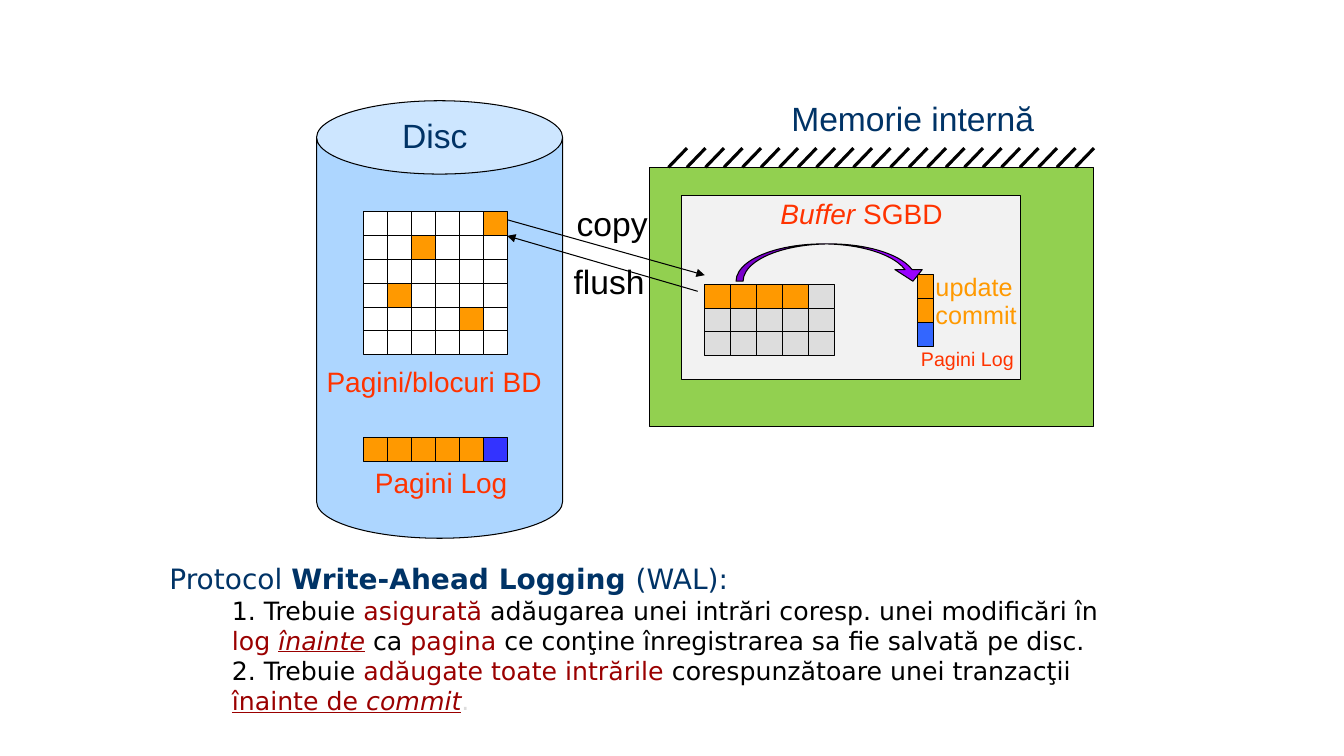
from collections import namedtuple

from lxml.etree import SubElement
from pptx import Presentation
from pptx.dml.color import RGBColor
from pptx.enum.shapes import MSO_CONNECTOR as Connector, MSO_SHAPE as Shape
from pptx.enum.text import MSO_ANCHOR as Anchor, MSO_AUTO_SIZE as AutoSize, PP_ALIGN as Align
from pptx.oxml.ns import qn
from pptx.util import Inches, Pt

BLACK = RGBColor(0x00, 0x00, 0x00)
WHITE = RGBColor(0xFF, 0xFF, 0xFF)
NAVY = RGBColor(0x00, 0x33, 0x66)
RED = RGBColor(0xFF, 0x33, 0x00)
DARK_RED = RGBColor(0x9A, 0x00, 0x00)
ORANGE = RGBColor(0xFF, 0x99, 0x00)
PALE_BLUE = RGBColor(0xAD, 0xD6, 0xFF)
LOG_BLUE = RGBColor(0x33, 0x33, 0xFF)
BUFFER_BLUE = RGBColor(0x33, 0x66, 0xFF)
GREEN = RGBColor(0x92, 0xD0, 0x50)
PALE_GREY = RGBColor(0xF2, 0xF2, 0xF2)
GREY = RGBColor(0xDD, 0xDD, 0xDD)
PURPLE = RGBColor(0x99, 0x00, 0xFF)

# One letter per page in the page grids
PAGE_FILLS = {"w": WHITE, "o": ORANGE, "g": GREY, "l": LOG_BLUE, "b": BUFFER_BLUE}

Box = namedtuple("Box", "x y w h")


def inside(box, dx, dy, w, h):
    """Box of the given size, offset from the corner of another one."""
    return Box(box.x + dx, box.y + dy, w, h)


def add_outlined(slide, kind, box, fill):
    shape = slide.shapes.add_shape(kind, *map(Inches, box))
    shape.shadow.inherit = False
    shape.fill.solid()
    shape.fill.fore_color.rgb = fill
    shape.line.color.rgb = BLACK
    shape.line.width = Pt(0.75)
    return shape


def add_line(slide, start, end, width=0.75, arrow=False):
    line = slide.shapes.add_connector(Connector.STRAIGHT, *map(Inches, start + end))
    line.line.color.rgb = BLACK
    line.line.width = Pt(width)
    properties = line.line._get_or_add_ln()
    if arrow:
        SubElement(properties, qn("a:tailEnd"), type="triangle")
    SubElement(line._element.spPr, qn("a:effectLst"))


def add_run(paragraph, text, size, color, font="Arial", bold=False, italic=False, underline=False):
    run = paragraph.add_run()
    run.text = text
    run.font.name = font
    run.font.size = Pt(size)
    run.font.color.rgb = color
    run.font.bold = bold
    run.font.italic = italic
    run.font.underline = underline


def add_label(slide, box, *lines, size=24, color=BLACK, wrap=False, align=Align.LEFT,
              spacing=1.0, italic_start=""):
    frame = slide.shapes.add_textbox(*map(Inches, box)).text_frame
    frame.word_wrap = wrap
    frame.auto_size = AutoSize.SHAPE_TO_FIT_TEXT
    for number, line in enumerate(lines):
        paragraph = frame.add_paragraph() if number else frame.paragraphs[0]
        paragraph.alignment = align
        paragraph.line_spacing = spacing
        if italic_start:
            add_run(paragraph, italic_start, size, color, italic=True)
        add_run(paragraph, line, size, color)


def add_pages(slide, box, *rows):
    """Fill the box with pages, coloured by the letters of each row."""
    width, height = box.w / len(rows[0]), box.h / len(rows)
    for r, row in enumerate(rows):
        for c, letter in enumerate(row):
            page = inside(box, c * width, r * height, width, height)
            add_outlined(slide, Shape.RECTANGLE, page, PAGE_FILLS[letter])


def add_disk(slide, box):
    cylinder = add_outlined(slide, Shape.CAN, box, PALE_BLUE)
    cylinder.adjustments[0] = 0.298
    add_label(slide, inside(box, 0.75, 0.09, 0.86, 0.5), "Disc", color=NAVY)
    add_pages(slide, inside(box, 0.47, 1.1, 1.42, 1.42),
              "wwwwwo", "wwowww", "wwwwww", "wowwww", "wwwwow", "wwwwww")
    add_label(slide, inside(box, 0, 2.57, 2.39, 0.43), "Pagini/blocuri BD", size=20, color=RED)
    add_pages(slide, inside(box, 0.47, 3.34, 1.42, 0.24), "oooool")
    add_label(slide, inside(box, 0.48, 3.57, 1.53, 0.44), "Pagini Log", size=20, color=RED)


def add_memory(slide, box):
    add_outlined(slide, Shape.RECTANGLE, box, GREEN)
    add_label(slide, inside(box, 1.31, -0.74, 2.64, 0.5), "Memorie internă", color=NAVY)

    # Hatching along the top edge
    strokes, first = 23, box.x + 0.19
    step = (box.x + box.w - first) / strokes
    for number in range(strokes):
        x = first + number * step
        add_line(slide, (x, box.y), (x + step, box.y - 0.19), width=2.25)


def add_buffer(slide, box):
    add_outlined(slide, Shape.RECTANGLE, box, PALE_GREY)
    add_label(slide, inside(box, 0.33, 0, 2.91, 0.4), " SGBD", size=20, color=RED,
              wrap=True, align=Align.CENTER, spacing=0.9, italic_start="Buffer")
    add_pages(slide, inside(box, 0.23, 0.88, 1.29, 0.71), "oooog", "ggggg", "ggggg")

    # Log pages held in memory
    add_pages(slide, inside(box, 2.34, 0.78, 0.16, 0.72), "o", "o", "b")
    add_label(slide, inside(box, 2.27, 1.48, 1.13, 0.31), "Pagini Log", size=14, color=RED,
              align=Align.CENTER, spacing=0.9)
    add_label(slide, inside(box, 2.42, 0.74, 1.31, 0.65), "update", "commit", size=18,
              color=ORANGE, wrap=True, spacing=0.9)

    # Arrow from the data pages to the log
    arrow = add_outlined(slide, Shape.CURVED_RIGHT_ARROW,
                         inside(box, 1.3, -0.28, 0.37, 1.89), PURPLE)
    for number, value in enumerate((0.19, 0.734, 0.311)):
        arrow.adjustments[number] = value
    arrow.rotation = 90
    arrow._element.spPr.xfrm.set("flipV", "1")


def add_transfers(slide, box):
    right, bottom = box.x + box.w, box.y + box.h
    add_line(slide, (box.x, box.y), (right, bottom - 0.16), arrow=True)
    add_line(slide, (right - 0.07, bottom), (box.x, box.y + 0.16), arrow=True)
    add_label(slide, inside(box, 0.59, -0.22, 0.91, 0.5), "copy")
    add_label(slide, inside(box, 0.56, 0.36, 0.91, 0.5), "flush")


def add_protocol(slide, box):
    body = slide.placeholders[1]
    body.left, body.top, body.width, body.height = map(Inches, box)
    frame = body.text_frame
    frame.word_wrap = True
    frame.auto_size = AutoSize.NONE
    frame.vertical_anchor = Anchor.TOP

    heading = [("Protocol ", NAVY, {}), ("Write-Ahead Logging ", NAVY, {"bold": True}),
               ("(WAL):", NAVY, {})]
    first_rule = [
        ("1. Trebuie ", BLACK, {}), ("asigurată", DARK_RED, {}),
        (" adăugarea unei intrări coresp. unei modificări în ", BLACK, {}),
        ("log ", DARK_RED, {}), ("înainte", DARK_RED, {"italic": True, "underline": True}),
        (" ca ", BLACK, {}), ("pagina ", DARK_RED, {}),
        ("ce conţine înregistrarea sa fie salvată pe disc.", BLACK, {}),
    ]
    second_rule = [
        ("2. Trebuie ", BLACK, {}), ("adăugate toate intrările ", DARK_RED, {}),
        ("corespunzătoare unei tranzacţii ", BLACK, {}),
        ("înainte de ", DARK_RED, {"underline": True}),
        ("commit", DARK_RED, {"italic": True, "underline": True}), (".", GREY, {}),
    ]
    for number, parts in enumerate((heading, first_rule, second_rule)):
        paragraph = frame.add_paragraph() if number else frame.paragraphs[0]
        paragraph.level = 1 if number else 0
        paragraph.space_before = Pt(0)
        properties = paragraph._p.get_or_add_pPr()
        properties.set("marL", str(Inches(0.62 if number else 0)))
        properties.set("indent", "0")
        SubElement(properties, qn("a:buNone"))
        for text, color, style in parts:
            add_run(paragraph, text, 18 if number else 20, color, font="DejaVu Sans", **style)


def main():
    deck = Presentation()
    deck.slide_width, deck.slide_height = Inches(13.33), Inches(7.5)
    slide = deck.slides.add_slide(deck.slide_layouts[1])
    title = slide.shapes.title._element
    title.getparent().remove(title)

    add_disk(slide, Box(3.14, 1, 2.44, 4.34))
    add_memory(slide, Box(6.44, 1.66, 4.41, 2.57))
    add_buffer(slide, Box(6.76, 1.94, 3.36, 1.83))
    add_transfers(slide, Box(5.03, 2.18, 1.96, 0.71))
    add_protocol(slide, Box(1.58, 5.52, 9.75, 1.65))
    deck.save("out.pptx")


if __name__ == "__main__":
    main()
